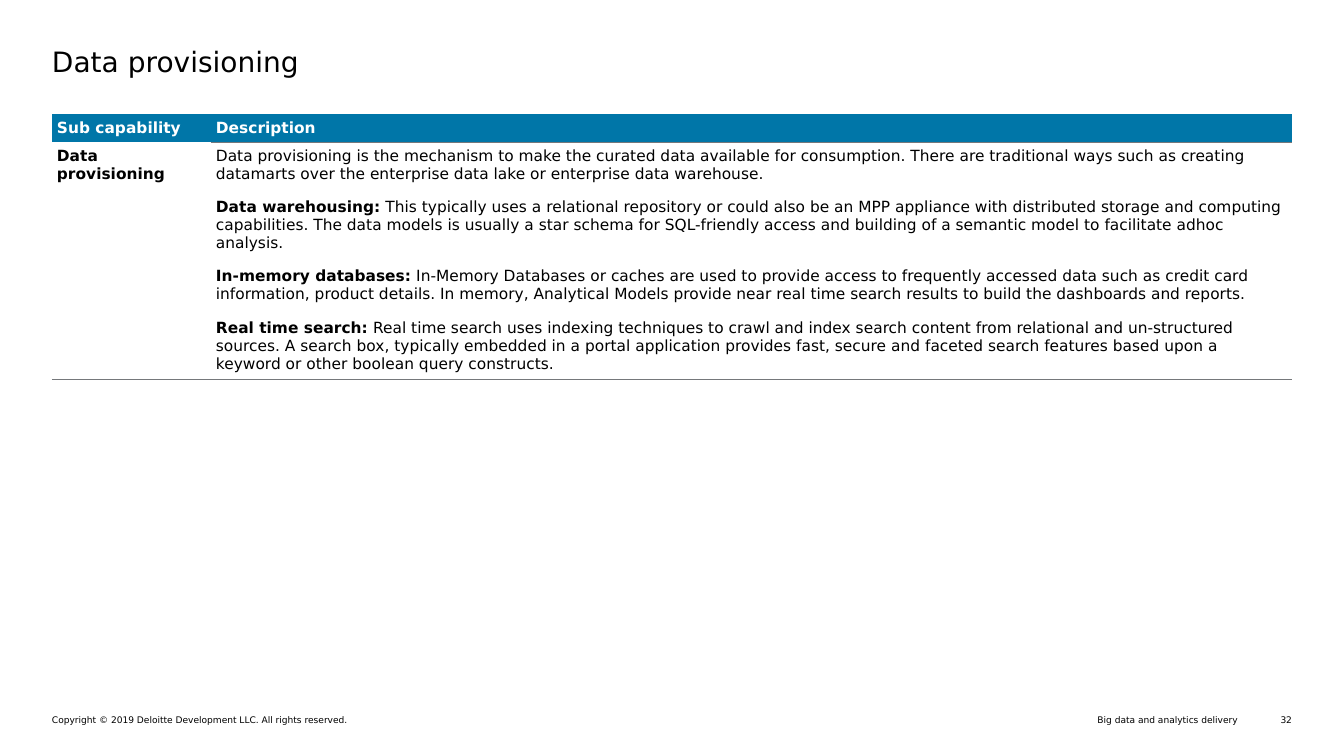
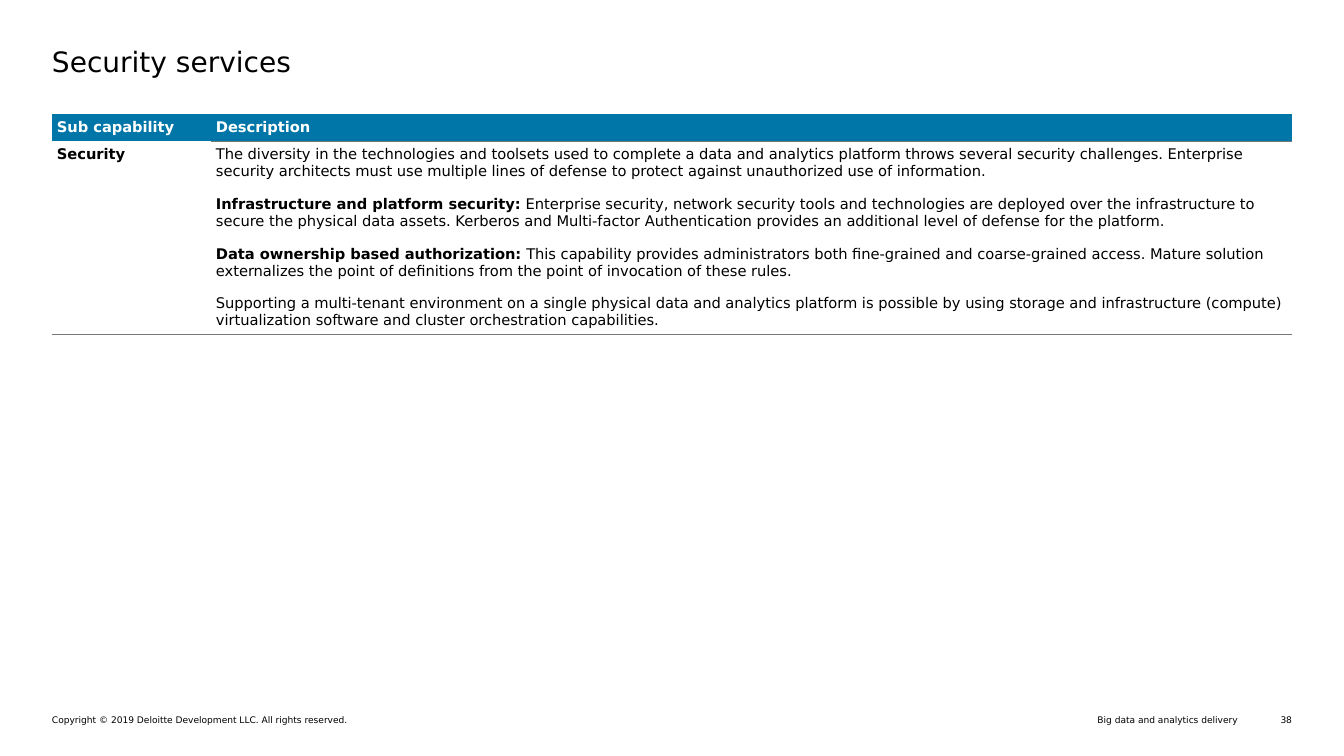
from lxml.etree import SubElement
from pptx import Presentation
from pptx.dml.color import RGBColor
from pptx.enum.text import MSO_ANCHOR as Anchor, MSO_AUTO_SIZE as AutoSize, PP_ALIGN as Align
from pptx.oxml.ns import qn
from pptx.util import Emu, Pt

PX = 914400 / 100.8
SLIDE_WIDTH, SLIDE_HEIGHT = 1344, 756
TITLE_ONLY = 5

FONT = "DejaVu Sans"
BLACK = RGBColor(0x00, 0x00, 0x00)
WHITE = RGBColor(0xFF, 0xFF, 0xFF)
BLUE = RGBColor(0x00, 0x76, 0xA8)
GREY = RGBColor(0x75, 0x78, 0x7B)

LEFT = 52
CONTENT_WIDTH = 1240
RIGHT = LEFT + CONTENT_WIDTH
TABLE_TOP = 114
HEADER_HEIGHT = 27
COLUMN_WIDTHS = (159, 1081)
CELL_MARGIN = 5
FOOTER_TOP, FOOTER_HEIGHT = 714, 11

HEADINGS = ("Sub capability", "Description")
COPYRIGHT = "Copyright © 2019 Deloitte Development LLC. All rights reserved."
DECK_NAME = "Big data and analytics delivery"

# Each description paragraph is a bold lead and the text that follows it.
PROVISIONING = [
    ("", "Data provisioning is the mechanism to make the curated data available for consumption. "
         "There are traditional ways such as creating datamarts over the enterprise data lake or "
         "enterprise data warehouse."),
    ("Data warehousing:",
     " This typically uses a relational repository or could also be an MPP appliance with "
     "distributed storage and computing capabilities. The data models is usually a star schema "
     "for SQL-friendly access and building of a semantic model to facilitate adhoc analysis."),
    ("In-memory databases:",
     " In-Memory Databases or caches are used to provide access to frequently accessed data such "
     "as credit card information, product details. In memory, Analytical Models provide near real "
     "time search results to build the dashboards and reports."),
    ("Real time search:",
     " Real time search uses indexing techniques to crawl and index search content from relational "
     "and un-structured sources. A search box, typically embedded in a portal application provides "
     "fast, secure and faceted search features based upon a keyword or other boolean query "
     "constructs."),
]
SECURITY = [
    ("", "The diversity in the technologies and toolsets used to complete a data and analytics "
         "platform throws several security challenges. Enterprise security architects must use "
         "multiple lines of defense to protect against unauthorized use of information."),
    ("Infrastructure and platform security:",
     " Enterprise security, network security tools and technologies are deployed over the "
     "infrastructure to secure the physical data assets. Kerberos and Multi-factor Authentication "
     "provides an additional level of defense for the platform."),
    ("Data ownership based authorization:",
     " This capability provides administrators both fine-grained and coarse-grained access. Mature "
     "solution externalizes the point of definitions from the point of invocation of these rules."),
    ("", "Supporting a multi-tenant environment on a single physical data and analytics platform is "
         "possible by using storage and infrastructure (compute) virtualization software and "
         "cluster orchestration capabilities."),
]


def px(length):
    return Emu(round(length * PX))


def write_text(frame, paragraphs, *, size, color=BLACK, bold=False, align=Align.LEFT, space_after=0):
    """Fill a frame from a string, or from (bold lead, text) pairs, one per paragraph."""
    if isinstance(paragraphs, str):
        paragraphs = [("", paragraphs)]
    frame.word_wrap = True
    for index, (lead, text) in enumerate(paragraphs):
        paragraph = frame.add_paragraph() if index else frame.paragraphs[0]
        paragraph.alignment = align
        paragraph.space_before = Pt(0)
        paragraph.space_after = Pt(space_after)
        for content, is_bold in ((lead, True), (text, bold)):
            if content:
                run = paragraph.add_run()
                run.text = content
                run.font.name = FONT
                run.font.size = Pt(size)
                run.font.bold = is_bold
                run.font.color.rgb = color


def clear_margins(frame):
    frame.margin_left = frame.margin_top = frame.margin_right = frame.margin_bottom = 0


def set_title(slide, text):
    title = slide.shapes.title
    title.left, title.top = px(LEFT), px(44)
    title.width, title.height = px(CONTENT_WIDTH), px(77)
    frame = title.text_frame
    clear_margins(frame)
    frame.auto_size = AutoSize.NONE
    frame.vertical_anchor = Anchor.TOP
    write_text(frame, text, size=20)


def add_footer(slide, number):
    parts = (
        (COPYRIGHT, LEFT, 590, Align.LEFT),
        (DECK_NAME, 698, 540, Align.RIGHT),
        (str(number), RIGHT - 34, 34, Align.RIGHT),
    )
    for text, left, width, align in parts:
        box = slide.shapes.add_textbox(px(left), px(FOOTER_TOP), px(width), px(FOOTER_HEIGHT))
        clear_margins(box.text_frame)
        write_text(box.text_frame, text, size=6.5, align=align)


def set_borders(cell, top=None, bottom=None):
    """Draw the given top and bottom rules and hide every other edge."""
    properties = cell._tc.get_or_add_tcPr()
    edges = (("a:lnL", None), ("a:lnR", None), ("a:lnT", top), ("a:lnB", bottom))
    for index, (tag, color) in enumerate(edges):
        line = SubElement(properties, qn(tag), w=str(Pt(0.5)))
        if color is None:
            SubElement(line, qn("a:noFill"))
        else:
            fill = SubElement(line, qn("a:solidFill"))
            SubElement(fill, qn("a:srgbClr"), val=str(color))
        properties.insert(index, line)


def format_cell(cell, paragraphs, *, fill=None, top=None, bottom=None, **text_format):
    cell.margin_left = cell.margin_top = cell.margin_right = cell.margin_bottom = px(CELL_MARGIN)
    cell.vertical_anchor = Anchor.TOP
    if fill is None:
        cell.fill.background()
    else:
        cell.fill.solid()
        cell.fill.fore_color.rgb = fill
    set_borders(cell, top, bottom)
    write_text(cell.text_frame, paragraphs, space_after=11, **text_format)


def add_capability_table(slide, capability, description, size, body_height):
    heights = (HEADER_HEIGHT, body_height)
    table = slide.shapes.add_table(
        2, 2, px(LEFT), px(TABLE_TOP), px(CONTENT_WIDTH), px(sum(heights))).table
    table.horz_banding = False
    for row, height in zip(table.rows, heights):
        row.height = px(height)
    body = (capability, description)
    for index, rule in enumerate((WHITE, GREY)):
        table.columns[index].width = px(COLUMN_WIDTHS[index])
        format_cell(table.cell(0, index), HEADINGS[index], fill=BLUE, bottom=rule,
                    size=size, color=WHITE, bold=True)
        format_cell(table.cell(1, index), body[index], top=rule, bottom=GREY,
                    size=size, bold=index == 0)


def add_capability_slide(presentation, title, number, *table_content):
    slide = presentation.slides.add_slide(presentation.slide_layouts[TITLE_ONLY])
    set_title(slide, title)
    add_capability_table(slide, *table_content)
    add_footer(slide, number)


def main():
    presentation = Presentation()
    presentation.slide_width, presentation.slide_height = px(SLIDE_WIDTH), px(SLIDE_HEIGHT)
    add_capability_slide(presentation, "Data provisioning", 32,
                         "Data provisioning", PROVISIONING, 11, 237)
    add_capability_slide(presentation, "Security services", 38,
                         "Security", SECURITY, 10.5, 193)
    presentation.save("out.pptx")


if __name__ == "__main__":
    main()
